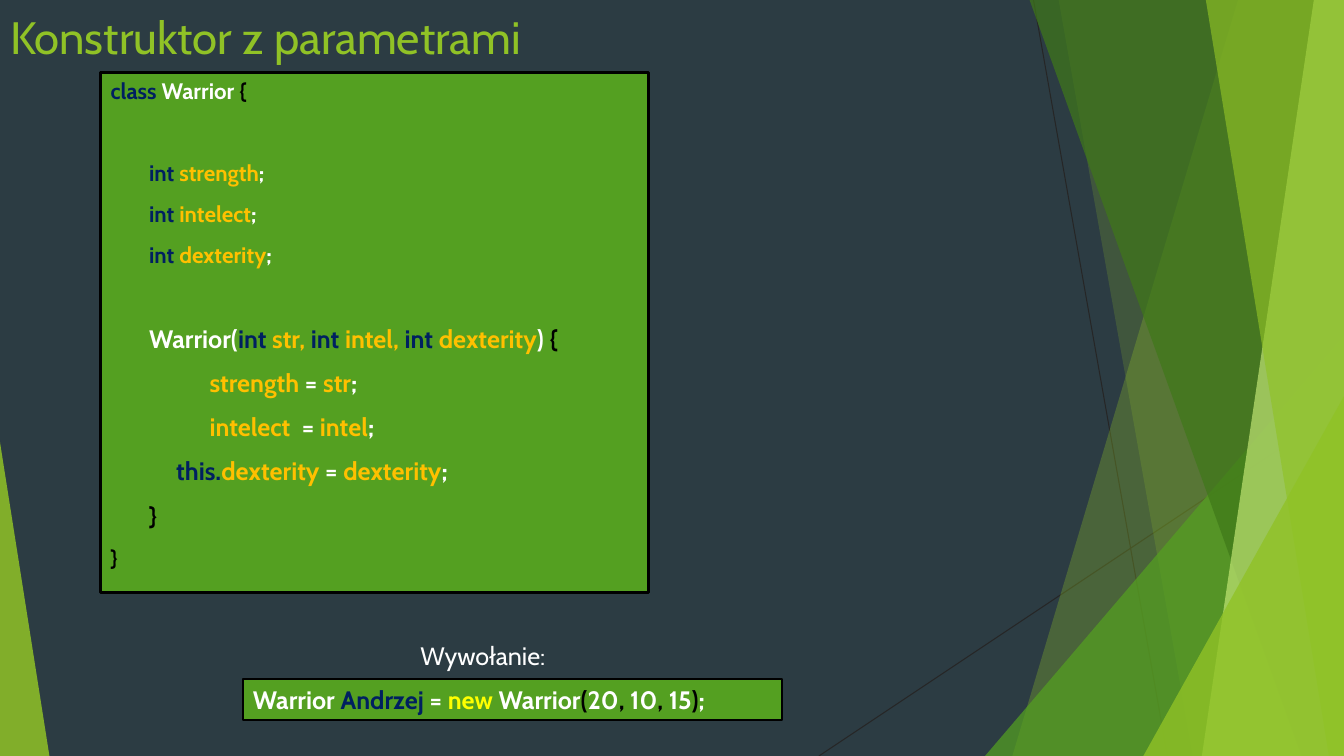
from dataclasses import dataclass

from lxml.etree import SubElement
from pptx import Presentation
from pptx.dml.color import RGBColor
from pptx.enum.shapes import MSO_CONNECTOR, MSO_SHAPE
from pptx.enum.text import MSO_ANCHOR, MSO_AUTO_SIZE, PP_ALIGN
from pptx.oxml.ns import qn
from pptx.util import Inches, Pt


@dataclass(frozen=True)
class Theme:
    font: str = "Cabin"
    back: str = "2C3C43"
    lime: str = "90C226"
    green: str = "54A021"
    forest: str = "3F7819"
    pale: str = "C0E474"
    hairline: str = "262626"
    black: str = "000000"
    white: str = "FFFFFF"
    keyword: str = "002060"
    name: str = "FFC000"
    new: str = "FFFF00"
    title_size: float = 32.4
    body_size: int = 18
    small_size: int = 16
    gap: int = 10
    blank_line: float = 29.3


@dataclass(frozen=True)
class Box:
    x: float
    y: float
    w: float
    h: float

    def at(self, px, py):
        """Point at percentages of the box, in EMU."""
        return Inches(self.x + self.w * px / 100), Inches(self.y + self.h * py / 100)

    def place(self, sp):
        for attr, value in zip(("left", "top", "width", "height"), self.emu()):
            setattr(sp, attr, value)

    def emu(self):
        return [Inches(v) for v in (self.x, self.y, self.w, self.h)]


T = Theme()
WIDTH, HEIGHT = 13.33, 7.5
RIGHT_ART = Box(9.77, 0, 3.56, HEIGHT)
LEFT_ART = Box(0, 0, 0.49, HEIGHT)

# Code lines: indent in inches, size, blank line above, coloured pieces
FIELDS = ["strength", "intelect", "dexterity"]
CLASS_CODE = [
    (0, T.small_size, False,
     [("class ", T.keyword), ("Warrior ", T.white), ("{", T.black)]),
    *[(0.38, T.small_size, i == 0,
       [("int ", T.keyword), (field, T.name), (";", T.white)])
      for i, field in enumerate(FIELDS)],
    (0.38, T.body_size, True,
     [("Warrior(", T.white), ("int ", T.keyword), ("str, ", T.name),
      ("int ", T.keyword), ("intel, ", T.name), ("int ", T.keyword),
      ("dexterity", T.name), (") ", T.white), ("{", T.black)]),
    *[(indent, T.body_size, False,
       [(this, T.keyword), (target, T.name), ("= ", T.white),
        (value, T.name), (";", T.white)])
      for indent, this, target, value in [
          (0.98, "", "strength ", "str"),
          (0.98, "", "intelect  ", "intel"),
          (0.65, "this.", "dexterity ", "dexterity")]],
    (0.38, T.body_size, False, [("}", T.black)]),
    (0, T.small_size, False, [("}", T.black)]),
]
CALL_CODE = [(0, T.body_size, False, [
    ("Warrior ", T.white), ("Andrzej", T.keyword), (" = ", T.white),
    ("new ", T.new), ("Warrior", T.white), ("(", T.black), ("20", T.white),
    (",", T.black), (" 10", T.white), (",", T.black), (" 15", T.white),
    (")", T.black), (";", T.white)])]


def rgb(colour):
    return RGBColor.from_string(colour)


def write(p, text, colour, size, bold=False):
    r = p.add_run()
    r.text = text
    for attr, value in {"name": T.font, "size": Pt(size), "bold": bold}.items():
        setattr(r.font, attr, value)
    r.font.color.rgb = rgb(colour)


def format_frame(tf, anchor, wrap=True):
    settings = {"word_wrap": wrap, "auto_size": MSO_AUTO_SIZE.NONE,
                "vertical_anchor": anchor}
    for attr, value in settings.items():
        setattr(tf, attr, value)


def paint(sp, colour, opacity=100):
    sp.shadow.inherit = False
    sp.fill.solid()
    sp.fill.fore_color.rgb = rgb(colour)
    sp.line.fill.background()
    if opacity < 100:
        clr = sp.fill._xPr.find(qn("a:solidFill"))[0]
        SubElement(clr, qn("a:alpha")).set("val", str(opacity * 1000))


def add_hairline(slide, box, start, end):
    ln = slide.shapes.add_connector(
        MSO_CONNECTOR.STRAIGHT, *box.at(*start), *box.at(*end))
    ln.line.color.rgb = rgb(T.hairline)
    ln.line.width = Pt(0.75)
    SubElement(ln._element.spPr, qn("a:effectLst"))


def add_band(slide, box, top, bottom, colour, opacity):
    """Band to the right edge whose left side runs from top to bottom percent."""
    fb = slide.shapes.build_freeform(*box.at(top, 0), scale=1.0)
    fb.add_line_segments([box.at(100, 0), box.at(100, 100), box.at(bottom, 100)])
    paint(fb.convert_to_shape(), colour, opacity)


def add_corner(slide, box, left, top, apex, colour, opacity):
    """Triangle standing on the bottom edge; apex 0 is left, 1 is right."""
    x, y = box.at(left, top)
    right, bottom = box.at(100, 100)
    sp = slide.shapes.add_shape(
        MSO_SHAPE.ISOSCELES_TRIANGLE, x, y, right - x, bottom - y)
    sp.adjustments[0] = apex
    paint(sp, colour, opacity)


def add_facets(slide, right, left):
    add_hairline(slide, right, (13.5, 0), (50.8, 100))
    add_hairline(slide, right, (100, 53.7), (-46.3, 100))
    add_band(slide, right, 70.5, 7.6, T.lime, 30)
    add_band(slide, right, 20.5, 57.9, T.lime, 20)
    add_corner(slide, right, 0, 44.4, 1, T.green, 72)
    add_band(slide, right, 12.4, 88.2, T.forest, 70)
    add_band(slide, right, 91.6, 60.4, T.pale, 70)
    add_band(slide, right, 61.5, 95.8, T.lime, 65)
    add_corner(slide, right, 44.1, 52.4, 1, T.lime, 80)
    add_corner(slide, left, 0, 58.5, 0, T.lime, 85)


def add_title(slide, box, text):
    sp = slide.shapes.title
    box.place(sp)
    format_frame(sp.text_frame, MSO_ANCHOR.MIDDLE)
    p = sp.text_frame.paragraphs[0]
    p.alignment = PP_ALIGN.LEFT
    write(p, text, T.lime, T.title_size)


def add_code(slide, box, lines, border, anchor):
    sp = slide.shapes.add_shape(MSO_SHAPE.RECTANGLE, *box.emu())
    paint(sp, T.green)
    sp.line.color.rgb = rgb(T.black)
    sp.line.width = Pt(border)
    tf = sp.text_frame
    format_frame(tf, anchor)
    for i, (indent, size, blank_above, pieces) in enumerate(lines):
        p = tf.add_paragraph() if i else tf.paragraphs[0]
        p.alignment = PP_ALIGN.LEFT
        p.space_before = Pt((T.gap if i else 0) + T.blank_line * blank_above)
        p._p.get_or_add_pPr().set("marL", str(Inches(indent)))
        for text, colour in pieces:
            if text:
                write(p, text, colour, size, bold=True)


def add_label(slide, box, text):
    tf = slide.shapes.add_textbox(*box.emu()).text_frame
    format_frame(tf, MSO_ANCHOR.TOP)
    write(tf.paragraphs[0], text, T.white, T.body_size)


def main():
    prs = Presentation()
    prs.slide_width, prs.slide_height = Inches(WIDTH), Inches(HEIGHT)
    slide = prs.slides.add_slide(prs.slide_layouts[5])
    slide.background.fill.solid()
    slide.background.fill.fore_color.rgb = rgb(T.back)
    add_facets(slide, RIGHT_ART, LEFT_ART)
    add_title(slide, Box(0, 0, 6.32, 0.72), "Konstruktor z parametrami")
    add_code(slide, Box(1, 0.72, 5.43, 5.16), CLASS_CODE, 2, MSO_ANCHOR.TOP)
    add_code(slide, Box(2.41, 6.74, 5.35, 0.4), CALL_CODE, 1.5, MSO_ANCHOR.MIDDLE)
    add_label(slide, Box(4.07, 6.3, 1.51, 0.4), "Wywołanie:")
    prs.save("out.pptx")


if __name__ == "__main__":
    main()
